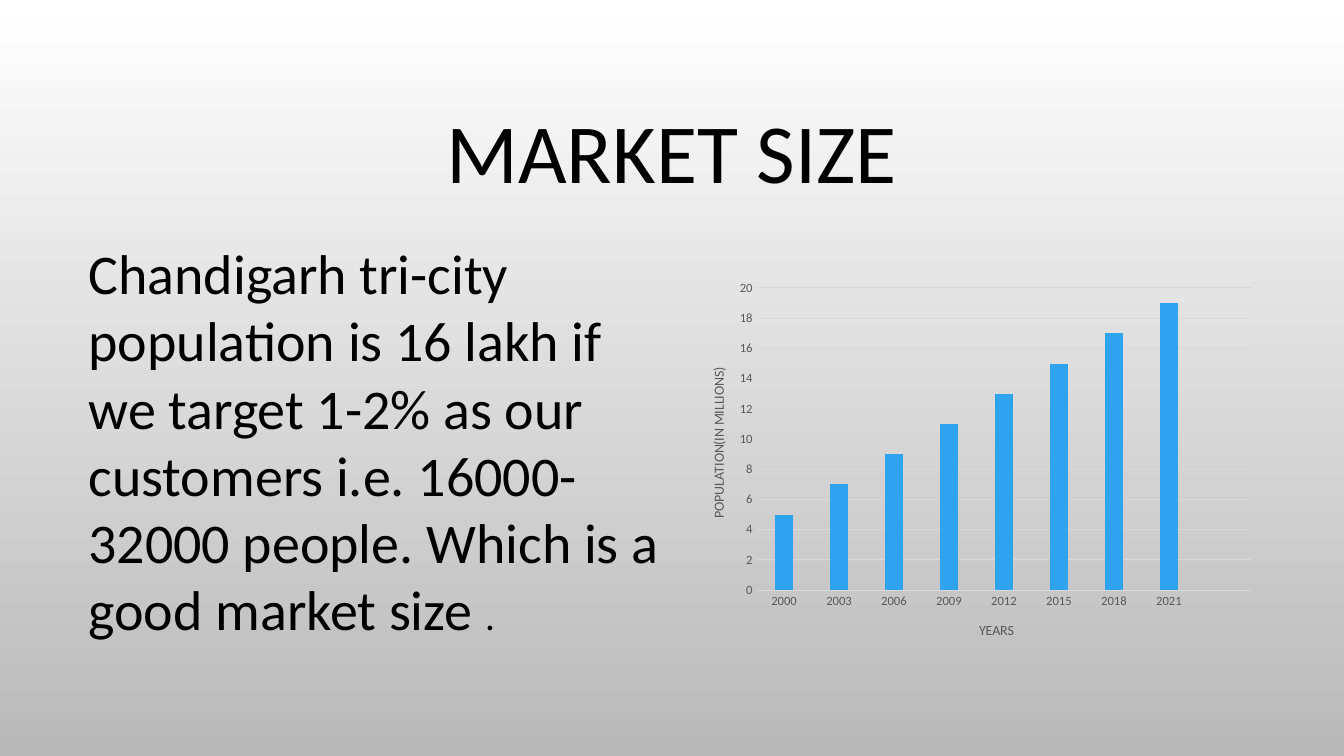
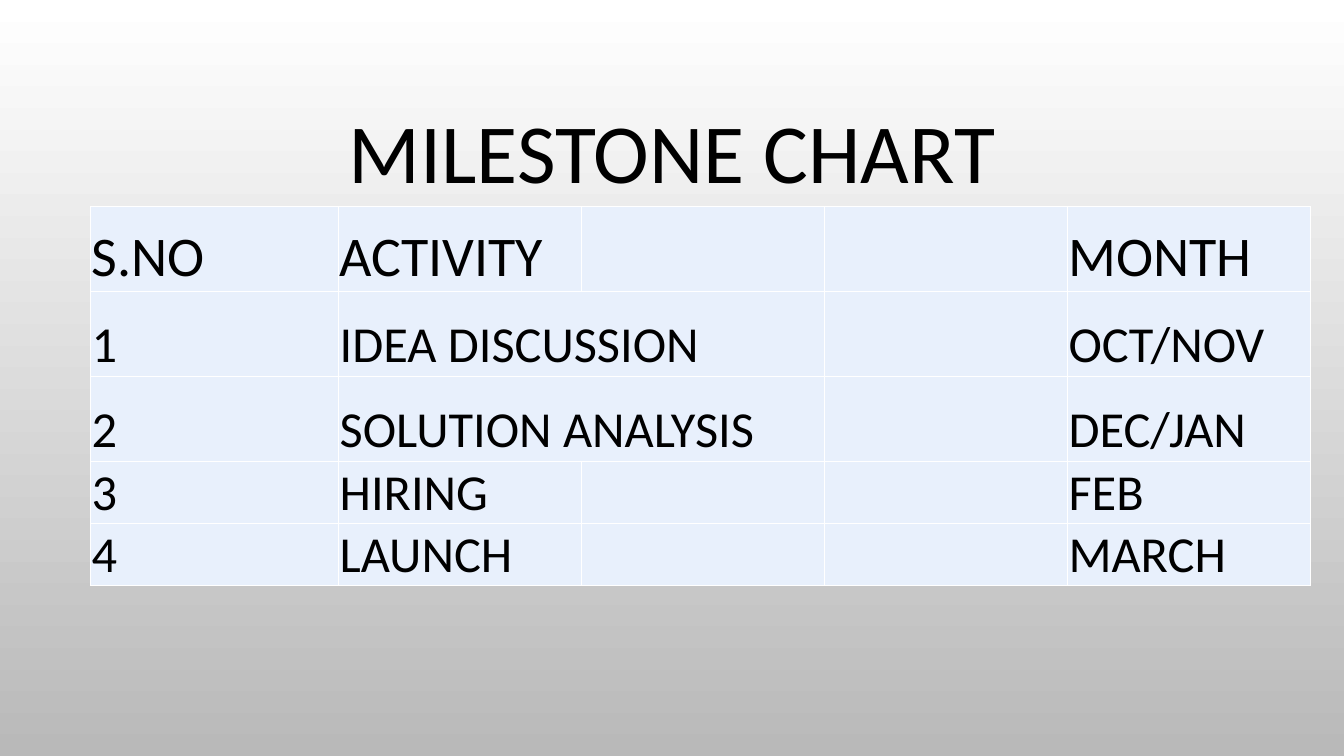
from dataclasses import dataclass

from lxml.etree import SubElement
from pptx import Presentation
from pptx.chart.data import CategoryChartData
from pptx.dml.color import RGBColor as Rgb
from pptx.enum.chart import XL_CHART_TYPE as ChartType, XL_TICK_MARK as Tick
from pptx.enum.text import MSO_ANCHOR as Anchor, PP_ALIGN as Align
from pptx.oxml import parse_xml
from pptx.oxml.ns import nsdecls, qn
from pptx.util import Inches, Pt


@dataclass(frozen=True)
class Theme:
    font: str = "Calibri"
    ink: str = "000000"
    axis_ink: str = "595959"
    grid: str = "D9D9D9"
    bar: str = "2FA3EE"
    cell: str = "E8F0FC"
    border: str = "FFFFFF"
    backdrop: tuple = ("FFFFFF", "B9B9B9")
    title_size: int = 60
    body_size: int = 40
    stop_size: int = 28
    head_size: int = 40
    row_size: int = 36
    axis_title_size: int = 10
    axis_size: int = 9


THEME = Theme()
WIDTH, HEIGHT = Inches(13.33), Inches(7.5)
BLANK = 6

# Places are left, top, width, height in percent of the slide.
TITLE_PLACE = (7.5, 9.07, 85, 23.33)
BODY_PLACE = (5.85, 30.93, 45.3, 55.2)
CHART_PLACE = (52.2, 26.67, 40.95, 63.47)
TABLE_PLACE = (6.75, 27.33, 90.75, 50.13)
FIRST_COLUMN, OTHER_COLUMN = 18.45, 18.08
TALL_ROW, SHORT_ROW = 11.24, 8.2

POPULATION = {"2000": 5, "2003": 7, "2006": 9, "2009": 11, "2012": 13,
              "2015": 15, "2018": 17, "2021": 19, "": None}
MILESTONES = [
    ("S.NO", "ACTIVITY", "MONTH"),
    ("1", "IDEA DISCUSSION", "OCT/NOV"),
    ("2", "SOLUTION ANALYSIS", "DEC/JAN"),
    ("3", "HIRING", "FEB"),
    ("4", "LAUNCH", "MARCH"),
]
ACTIVITY, MONTH = 1, 4
WIDE_ROWS = (1, 2)
TALL_ROWS = (0, 1, 2)


def across(percent):
    return int(WIDTH * percent / 100)


def down(percent):
    return int(HEIGHT * percent / 100)


def place(left, top, width, height):
    return across(left), down(top), across(width), down(height)


def style_font(font, size, color=THEME.ink):
    font.name, font.size, font.bold = THEME.font, Pt(size), False
    font.color.rgb = Rgb.from_string(color)


def write(frame, *spans, color=THEME.ink, align=Align.LEFT, spacing=None):
    """Fill the first paragraph with spans given as (text, size)."""
    para = frame.paragraphs[0]
    para.alignment, para.line_spacing = align, spacing
    for text, size in spans:
        span = para.add_run()
        span.text = text
        style_font(span.font, size, color)


def add_text(page, where, *spans, anchor=Anchor.TOP, **style):
    frame = page.shapes.add_textbox(*place(*where)).text_frame
    frame.word_wrap, frame.vertical_anchor = True, anchor
    write(frame, *spans, **style)


def add_page(deck, title):
    page = deck.slides.add_slide(deck.slide_layouts[BLANK])
    add_text(page, TITLE_PLACE, (title, THEME.title_size),
             anchor=Anchor.MIDDLE, align=Align.CENTER, spacing=0.9)
    return page


def paint_backdrop(master):
    fill = master.background.fill
    fill.gradient()
    fill.gradient_angle = 270
    for stop, color in zip(fill.gradient_stops, THEME.backdrop):
        stop.color.rgb = Rgb.from_string(color)


def set_layout(element, index, target=None, **shares):
    """Give a chart part a fixed place, in shares of the chart."""
    for old in element.findall(qn("c:layout")):
        element.remove(old)
    layout = parse_xml(f"<c:layout {nsdecls('c')}><c:manualLayout/></c:layout>")
    settings = {"xMode": "edge", "yMode": "edge", **shares}
    if target:
        settings = {"layoutTarget": target, **settings}
    for name, value in settings.items():
        SubElement(layout[0], qn(f"c:{name}")).set("val", str(value))
    element.insert(index, layout)


def style_line(line, color):
    line.color.rgb = Rgb.from_string(color)
    line.width = Pt(0.75)


def style_axis(axis, title, x, y):
    axis.major_tick_mark = axis.minor_tick_mark = Tick.NONE
    style_font(axis.tick_labels.font, THEME.axis_size, THEME.axis_ink)
    write(axis.axis_title.text_frame, (title, THEME.axis_title_size),
          color=THEME.axis_ink, align=Align.CENTER)
    set_layout(axis.axis_title._element, 1, x=x, y=y)


def add_population_chart(page):
    data = CategoryChartData()
    data.categories = list(POPULATION)
    data.add_series("Series 1", list(POPULATION.values()))
    chart = page.shapes.add_chart(
        ChartType.COLUMN_CLUSTERED, *place(*CHART_PLACE), data).chart
    chart.has_title = chart.has_legend = False
    style_font(chart.font, THEME.axis_title_size)
    plot = chart.plots[0]
    plot.gap_width, plot.overlap, plot.vary_by_categories = 219, -27, False
    bars = plot.series[0].format.fill
    bars.solid()
    bars.fore_color.rgb = Rgb.from_string(THEME.bar)

    years, people = chart.category_axis, chart.value_axis
    style_axis(years, "YEARS", 0.5, 0.87)
    style_line(years.format.line, THEME.grid)
    style_axis(people, "POPULATION(IN MILLIONS)", 0.01, 0.34)
    people.axis_title.text_frame._txBody.bodyPr.set("rot", "-5400000")
    people.minimum_scale, people.maximum_scale, people.major_unit = 0, 20, 2
    people.format.line.fill.background()
    style_line(people.major_gridlines.format.line, THEME.grid)
    plot_area = chart._chartSpace.chart.plotArea
    set_layout(plot_area, 0, "inner", x=0.1, y=0.18, w=0.9, h=0.63)


def style_cell(cell):
    cell.fill.solid()
    cell.fill.fore_color.rgb = Rgb.from_string(THEME.cell)
    cell.vertical_anchor = Anchor.BOTTOM
    cell.margin_left = cell.margin_right = cell.margin_top = Inches(0.01)
    cell.margin_bottom = 0
    for index, side in enumerate("LRTB"):
        cell._tc.get_or_add_tcPr().insert(index, parse_xml(
            f'<a:ln{side} {nsdecls("a")} w="{Pt(1)}"><a:solidFill>'
            f'<a:srgbClr val="{THEME.border}"/></a:solidFill></a:ln{side}>'))


def add_milestone_table(page):
    table = page.shapes.add_table(
        len(MILESTONES), MONTH + 1, *place(*TABLE_PLACE)).table
    table.first_row = table.horz_banding = False
    for index, column in enumerate(table.columns):
        column.width = across(OTHER_COLUMN if index else FIRST_COLUMN)
    for index, row in enumerate(table.rows):
        row.height = down(TALL_ROW if index in TALL_ROWS else SHORT_ROW)
    for cell in table.iter_cells():
        style_cell(cell)
    for row in WIDE_ROWS:
        table.cell(row, ACTIVITY).merge(table.cell(row, ACTIVITY + 1))
    for row, texts in enumerate(MILESTONES):
        size = THEME.row_size if row else THEME.head_size
        for column, text in zip((0, ACTIVITY, MONTH), texts):
            write(table.cell(row, column).text_frame, (text, size))


def main():
    deck = Presentation()
    deck.slide_width, deck.slide_height = WIDTH, HEIGHT
    paint_backdrop(deck.slide_master)

    market = add_page(deck, "MARKET SIZE")
    add_population_chart(market)
    add_text(market, BODY_PLACE,
             ("Chandigarh tri-city population is 16 lakh if we target 1-2% "
              "as our customers i.e. 16000-32000 people. Which is a good "
              "market size ", THEME.body_size),
             (".", THEME.stop_size))

    add_milestone_table(add_page(deck, "MILESTONE CHART"))
    deck.save("out.pptx")


if __name__ == "__main__":
    main()
